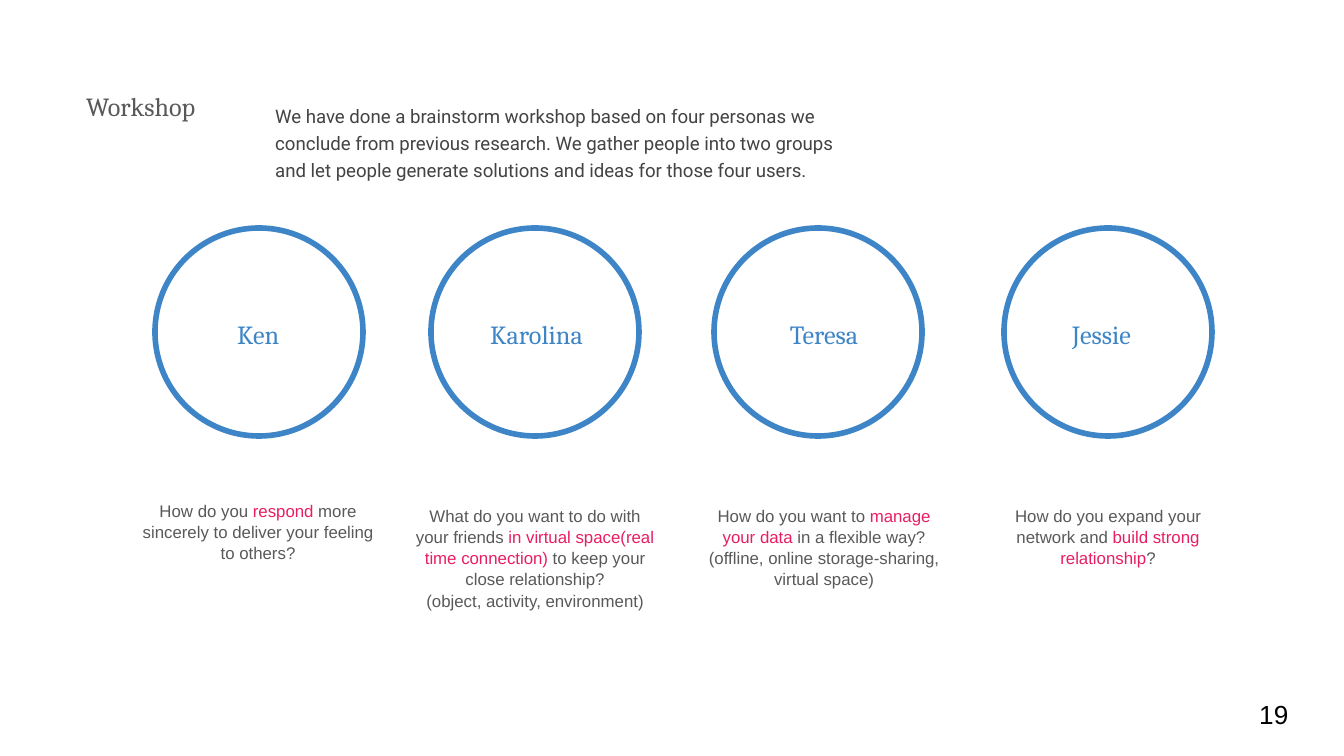
from pptx import Presentation, util as u
from pptx.dml.color import RGBColor
from pptx.enum import shapes, text

SCALE = 914400 / 134.4  # EMU per px
COLORS = {"blue": "3D85C6", "pink": "E91D63", "grey": "595959",
          "dark": "434343", "black": "000000", "white": "FFFFFF"}
LEFT, CENTER = text.PP_ALIGN.LEFT, text.PP_ALIGN.CENTER

# Text styles: font, size, colour, line spacing
STYLES = {
    "heading": ("Cambria", 14, "grey", 1),
    "name": ("Cambria", 14, "blue", 1),
    "question": ("Arial", 9, "grey", 1.05),
    "intro": ("Roboto", 10, "dark", 1.2),
    "number": ("Arial", 14, "black", 1),
}

INTRO = ("We have done a brainstorm workshop based on four personas we conclude "
         "from previous research. We gather people into two groups and let people "
         "generate solutions and ideas for those four users.")

# Each question is a list of paragraphs; each paragraph alternates grey and pink
PERSONAS = [
    {"name": "Ken", "circle": 155, "label": (224, 116, LEFT), "question_at": (125, 486),
     "question": [["How do you ", "respond",
                   " more sincerely to deliver your feeling to others?"]]},
    {"name": "Karolina", "circle": 431, "label": (477, 160, LEFT), "question_at": (402, 491),
     "question": [["What do you want to do with your friends",
                   " in virtual space(real time connection)",
                   " to keep your close relationship?"],
                  ["(object, activity, environment)"]]},
    {"name": "Teresa", "circle": 714, "label": (750, 148, CENTER), "question_at": (691, 491),
     "question": [["How do you want to ", "manage your data", " in a flexible way?"],
                  ["(offline, online storage-sharing, virtual space)"]]},
    {"name": "Jessie", "circle": 1004, "label": (1059, 160, LEFT), "question_at": (975, 491),
     "question": [["How do you expand your network and ",
                   "build strong relationship", "?"]]},
]
CIRCLE_TOP, CIRCLE_SIZE = 228, 208
NAME_TOP, NAME_HEIGHT = 305, 117
QUESTION_SIZE = (266, 117)


def px(*values):
    return [u.Emu(round(value * SCALE)) for value in values]


def color(name):
    return RGBColor.from_string(COLORS[name])


def add_text(slide, box, paragraphs, style, align=LEFT, anchor=text.MSO_ANCHOR.TOP):
    font_name, size, base, spacing = STYLES[style]
    frame = slide.shapes.add_textbox(*px(*box)).text_frame
    inset = u.Inches(0.1)
    settings = {"word_wrap": True, "vertical_anchor": anchor,
                "margin_left": inset, "margin_right": inset,
                "margin_top": inset, "margin_bottom": inset}
    for key, value in settings.items():
        setattr(frame, key, value)
    for index, parts in enumerate(paragraphs):
        paragraph = frame.add_paragraph() if index else frame.paragraphs[0]
        paragraph.alignment = align
        paragraph.line_spacing = spacing
        for position, part in enumerate(parts):
            run = paragraph.add_run()
            run.text = part
            for key, value in {"name": font_name, "size": u.Pt(size)}.items():
                setattr(run.font, key, value)
            run.font.color.rgb = color("pink" if position % 2 else base)


def add_circle(slide, left):
    circle = slide.shapes.add_shape(
        shapes.MSO_SHAPE.OVAL, *px(left, CIRCLE_TOP, CIRCLE_SIZE, CIRCLE_SIZE))
    circle.shadow.inherit = False
    circle.fill.solid()
    circle.fill.fore_color.rgb = color("white")
    circle.line.color.rgb = color("blue")
    circle.line.width = u.Pt(3)


def main():
    presentation = Presentation()
    presentation.slide_width, presentation.slide_height = px(1344, 756)
    slide = presentation.slides.add_slide(presentation.slide_layouts[6])

    # Heading and introduction
    add_text(slide, (73, 77, 180, 69), [["Workshop"]], "heading")
    add_text(slide, (262, 87, 589, 95), [[INTRO]], "intro")

    # Personas: circle, name, question
    for persona in PERSONAS:
        add_circle(slide, persona["circle"])
        left, width, align = persona["label"]
        add_text(slide, (left, NAME_TOP, width, NAME_HEIGHT),
                 [[persona["name"]]], "name", align)
        add_text(slide, (*persona["question_at"], *QUESTION_SIZE),
                 persona["question"], "question", CENTER)

    # Slide number
    add_text(slide, (1246, 685, 81, 58), [["19"]], "number",
             anchor=text.MSO_ANCHOR.MIDDLE)

    presentation.save("out.pptx")


if __name__ == "__main__":
    main()
